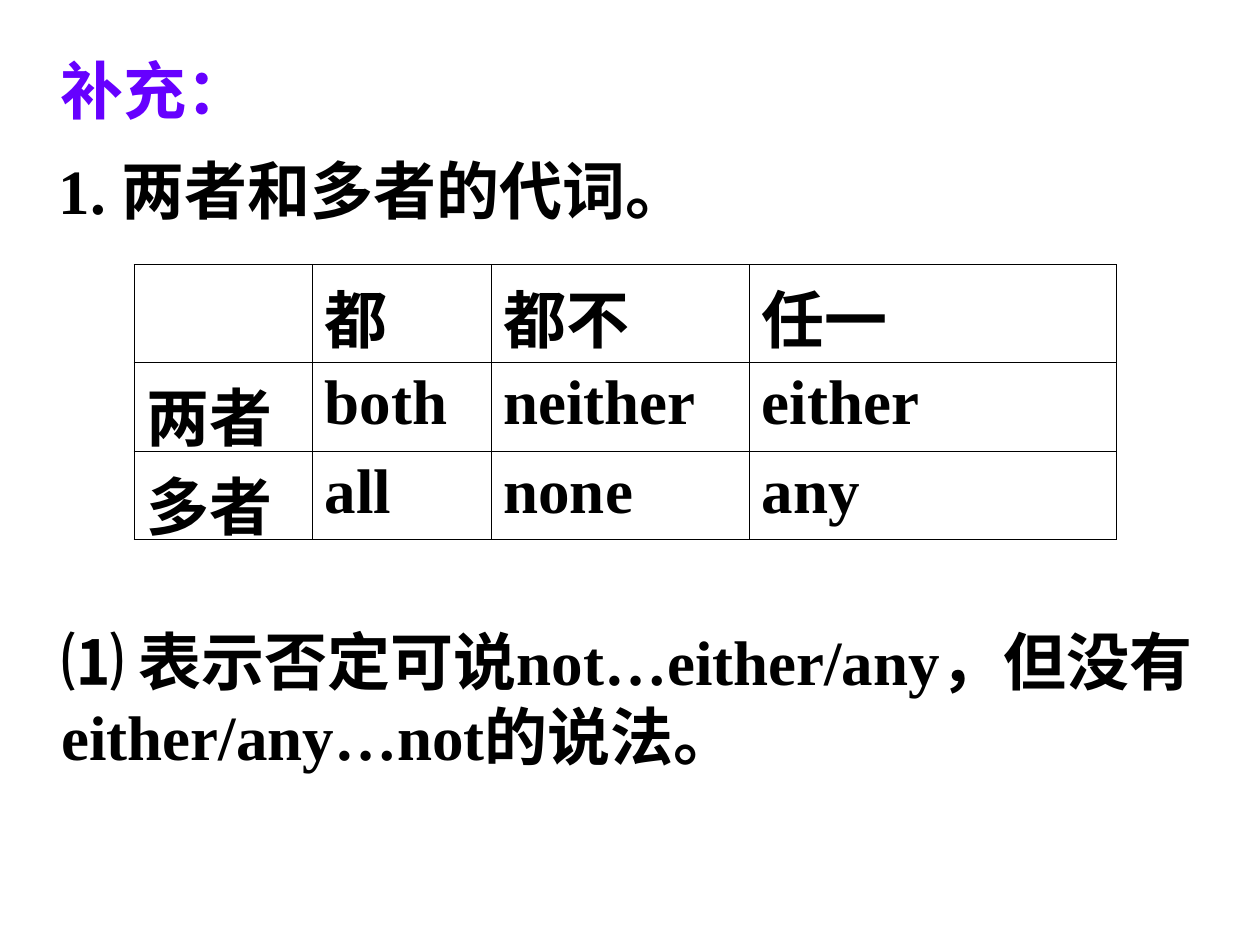
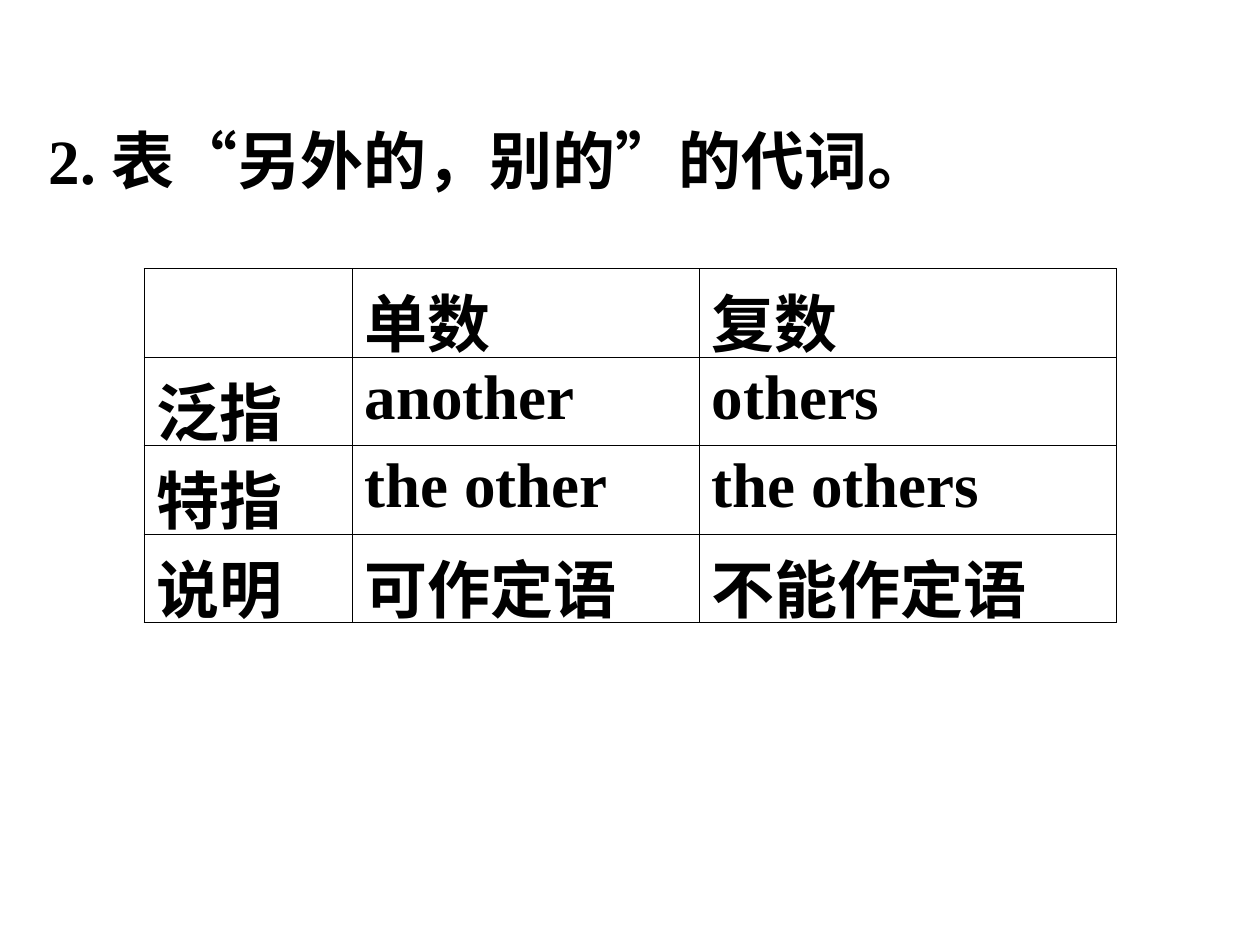
from pptx import Presentation
from pptx.dml.color import RGBColor as Color
from pptx.enum.lang import MSO_LANGUAGE_ID as Language
from pptx.enum.text import MSO_AUTO_SIZE as AutoSize, MSO_ANCHOR as Anchor
from pptx.oxml.ns import qn
from pptx.util import Pt
from lxml.etree import SubElement

# Content: lengths in points
SLIDES = [
    {
        "texts": [
            {"text": "补充：", "at": (27.4, 26, 122.4, 50.4), "color": "accent"},
            {"text": "1. 两者和多者的代词。", "at": (26.6, 82.8, 383, 50.4)},
            {"text": "⑴ 表示否定可说not…either/any，但没有either/any…not的说法。",
             "at": (28, 352, 694.8, 93.6), "wrap": True},
        ],
        "table": {
            "at": (76.5, 151.2),
            "columns": (102, 102, 147.6, 209.8),
            "heights": (56, 50.6, 50.4),
            "rows": [
                ("", "都", "都不", "任一"),
                ("两者", "both", "neither", "either"),
                ("多者", "all", "none", "any"),
            ],
        },
    },
    {
        "texts": [
            {"text": "2. 表“另外的，别的”的代词。", "at": (20.9, 66.2, 527, 50.4)},
        ],
        "table": {
            "at": (82.3, 153.4),
            "columns": (118.8, 198.4, 238.6),
            "heights": (50.6,) * 4,
            "rows": [
                ("", "单数", "复数"),
                ("泛指", "another", "others"),
                ("特指", "the other", "the others"),
                ("说明", "可作定语", "不能作定语"),
            ],
        },
    },
]

THEME = {
    "ink": "000000",
    "accent": "6600FF",
    "border": 0.45,
    "font": {"name": "Times New Roman", "size": Pt(36), "bold": True,
             "language_id": Language.SIMPLIFIED_CHINESE},
    "margins": {"margin_left": Pt(7.2), "margin_right": Pt(7.2),
                "margin_top": Pt(3.6), "margin_bottom": Pt(3.6)},
}


def set_all(target, values):
    for name, value in values.items():
        setattr(target, name, value)


def write(frame, text, color="ink"):
    span = frame.paragraphs[0].add_run()
    span.text = text
    set_all(span.font, THEME["font"])
    span.font.color.rgb = Color.from_string(THEME[color])


def add_text(page, text, at, color="ink", wrap=False):
    box = page.shapes.add_textbox(*map(Pt, at))
    set_all(box.text_frame, THEME["margins"])
    set_all(box.text_frame, {"word_wrap": wrap, "vertical_anchor": Anchor.TOP,
                             "auto_size": AutoSize.SHAPE_TO_FIT_TEXT})
    write(box.text_frame, text, color)


def outline(cell):
    properties = cell._tc.get_or_add_tcPr()
    for position, side in enumerate(("lnL", "lnR", "lnT", "lnB")):
        line = SubElement(properties, qn(f"a:{side}"), w=str(Pt(THEME["border"])))
        properties.insert(position, line)
        fill = SubElement(line, qn("a:solidFill"))
        SubElement(fill, qn("a:srgbClr"), val=THEME["ink"])


def add_grid(page, at, columns, heights, rows):
    size = (sum(columns), sum(heights))
    table = page.shapes.add_table(len(rows), len(columns),
                                  *map(Pt, at + size)).table
    set_all(table, {"first_row": False, "horz_banding": False})
    for column, width in zip(table.columns, columns):
        column.width = Pt(width)
    for row, height, words in zip(table.rows, heights, rows):
        row.height = Pt(height)
        for cell, word in zip(row.cells, words):
            set_all(cell, THEME["margins"])
            cell.fill.background()
            outline(cell)
            if word:
                write(cell.text_frame, word)


def main():
    deck = Presentation()
    set_all(deck, {"slide_width": Pt(720), "slide_height": Pt(540)})
    for content in SLIDES:
        page = deck.slides.add_slide(deck.slide_layouts[6])
        for entry in content["texts"]:
            add_text(page, **entry)
        add_grid(page, **content["table"])
    deck.save("out.pptx")


if __name__ == "__main__":
    main()
